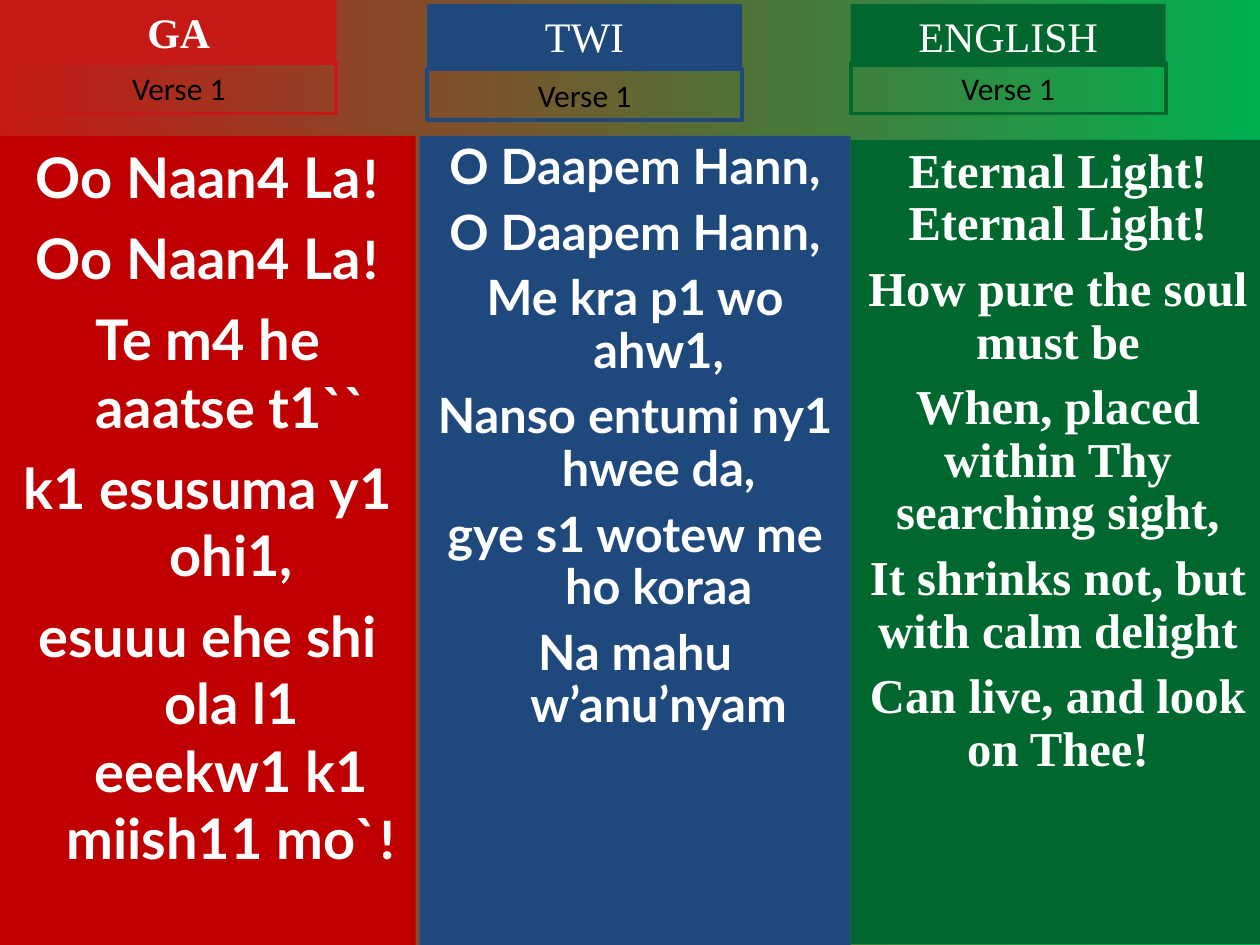
"""Build a hymn slide with the first verse in Ga, Twi and English."""
from dataclasses import dataclass
from typing import Optional

from lxml import etree
from pptx import Presentation
from pptx.dml.color import RGBColor
from pptx.enum.shapes import MSO_SHAPE
from pptx.enum.text import MSO_ANCHOR, MSO_AUTO_SIZE, PP_ALIGN
from pptx.oxml.ns import qn
from pptx.util import Cm, Pt

RECT = MSO_SHAPE.RECTANGLE
TOP, MIDDLE = MSO_ANCHOR.TOP, MSO_ANCHOR.MIDDLE
CENTER = PP_ALIGN.CENTER
NO_FIT = MSO_AUTO_SIZE.NONE

COLORS = {
    "red": "C51915", "deep_red": "C00000", "blue": "1F497D",
    "green": "00682F", "bright_green": "00B050",
    "white": "FFFFFF", "black": "000000",
}
SERIF, SANS, LYRIC = "Times New Roman", "Calibri", "Lato"
TAB_W, HEADING_H, VERSE_H = 6.35, 1.27, 1.02
HANG = 0.95


@dataclass
class Box:
    left: float
    top: float
    width: float
    height: float


@dataclass
class Column:
    name: str
    color: str
    panel_color: str
    heading: Box
    verse: Box
    panel: Box
    lines: tuple[str, ...]
    font: str = LYRIC
    size: float = 27.8
    spacing: float = 0.9
    before: float = 7.5
    hang: float = HANG
    mark_font: Optional[str] = None
    bold_heading: bool = False
    heading_idx: Optional[int] = None
    panel_idx: Optional[int] = None


COLUMNS = (
    Column(
        "GA", "red", "deep_red",
        Box(0.43, 0, TAB_W, HEADING_H), Box(0.43, 1.27, TAB_W, VERSE_H),
        Box(0, 2.74, 8.38, 16.31),
        ("Oo Naan4 La!", "Oo Naan4 La!", "Te m4 he aaatse t1``",
         "k1 esusuma y1 ohi1,",
         "esuuu ehe shi ola l1 eeekw1 k1 miish11 mo`!"),
        size=32, spacing=1, before=8, mark_font=SANS,
        bold_heading=True, heading_idx=0, panel_idx=1,
    ),
    Column(
        "TWI", "blue", "blue",
        Box(8.61, 0.08, TAB_W, HEADING_H), Box(8.61, 1.4, TAB_W, VERSE_H),
        Box(8.46, 2.74, 8.69, 16.31),
        ("O Daapem Hann,", "O Daapem Hann,", "Me kra p1 wo ahw1,",
         "Nanso entumi ny1 hwee da,", "gye s1 wotew me ho koraa",
         "Na mahu w’anu’nyam"),
        panel_idx=2,
    ),
    Column(
        "ENGLISH", "green", "green",
        Box(17.15, 0.08, TAB_W, HEADING_H), Box(17.15, 1.27, TAB_W, VERSE_H),
        Box(17.15, 2.82, 8.36, 16.21),
        ("Eternal Light! Eternal Light!", "How pure the soul must be",
         "When, placed within Thy searching sight,",
         "It shrinks not, but with calm delight",
         "Can live, and look on Thee!"),
        font=SERIF, hang=0,
    ),
)


def rgb(name: str) -> RGBColor:
    return RGBColor.from_string(COLORS[name])


def add_box(s, box: Box, fill: Optional[str] = None,
            line: Optional[str] = None, idx: Optional[int] = None):
    """Place a rectangle, or the placeholder with the given index."""
    place = Cm(box.left), Cm(box.top), Cm(box.width), Cm(box.height)
    if idx is None:
        sp = s.shapes.add_shape(RECT, *place)
        sp.shadow.inherit = False
    else:
        sp = next(ph for ph in s.placeholders if ph.placeholder_format.idx == idx)
        sp.left, sp.top, sp.width, sp.height = place
    if fill:
        sp.fill.solid()
        sp.fill.fore_color.rgb = rgb(fill)
    else:
        sp.fill.background()
    if line:
        sp.line.color.rgb = rgb(line)
        sp.line.width = Pt(2.25)
    else:
        sp.line.fill.background()
    return sp


def write(sp, *lines: str, font: str, size: float, color: str = "white",
          bold: bool = False, anchor=MIDDLE, spacing: float = 1,
          before: float = 0, hang: float = 0,
          mark_font: Optional[str] = None) -> None:
    """Fill a shape with centred paragraphs; mark_font sets a closing '!'."""
    tf = sp.text_frame
    tf.word_wrap = True
    tf.auto_size = NO_FIT
    tf.vertical_anchor = anchor
    tf.margin_left = tf.margin_right = Cm(0.25)
    tf.margin_top = tf.margin_bottom = Cm(0.13)
    for i, text in enumerate(lines):
        p = tf.add_paragraph() if i else tf.paragraphs[0]
        pPr = p._p.get_or_add_pPr()
        pPr.set("marL", str(Cm(hang)))
        pPr.set("indent", str(-Cm(hang)))
        etree.SubElement(pPr, qn("a:buNone"))
        p.alignment = CENTER
        p.line_spacing = spacing
        p.space_before = Pt(before if i else 0)
        parts = [(text, font)]
        if mark_font and text.endswith("!"):
            parts = [(text[:-1], font), ("!", mark_font)]
        for part, face in parts:
            r = p.add_run()
            r.text = part
            r.font.name = face
            r.font.size = Pt(size)
            r.font.bold = bold
            r.font.color.rgb = rgb(color)


def add_column(s, col: Column) -> None:
    """Draw one language: lyrics panel, heading and verse label."""
    panel = add_box(s, col.panel, fill=col.panel_color, idx=col.panel_idx)
    write(panel, *col.lines, font=col.font, size=col.size, bold=True,
          anchor=TOP, spacing=col.spacing, before=col.before, hang=col.hang,
          mark_font=col.mark_font)
    heading = add_box(s, col.heading, fill=col.color, idx=col.heading_idx)
    write(heading, col.name, font=SERIF, size=24, bold=col.bold_heading)
    verse = add_box(s, col.verse, line=col.color)
    write(verse, "Verse 1", font=SANS, size=18, color="black")


def main() -> None:
    prs = Presentation()
    prs.slide_width, prs.slide_height = Cm(25.4), Cm(19.05)
    s = prs.slides.add_slide(prs.slide_layouts.get_by_name("Two Content"))
    fill = s.background.fill
    fill.gradient()
    fill.gradient_angle = 0
    for stop, name in zip(fill.gradient_stops, ("red", "bright_green")):
        stop.color.rgb = rgb(name)
    for col in COLUMNS:
        add_column(s, col)
    prs.save("out.pptx")


if __name__ == "__main__":
    main()
